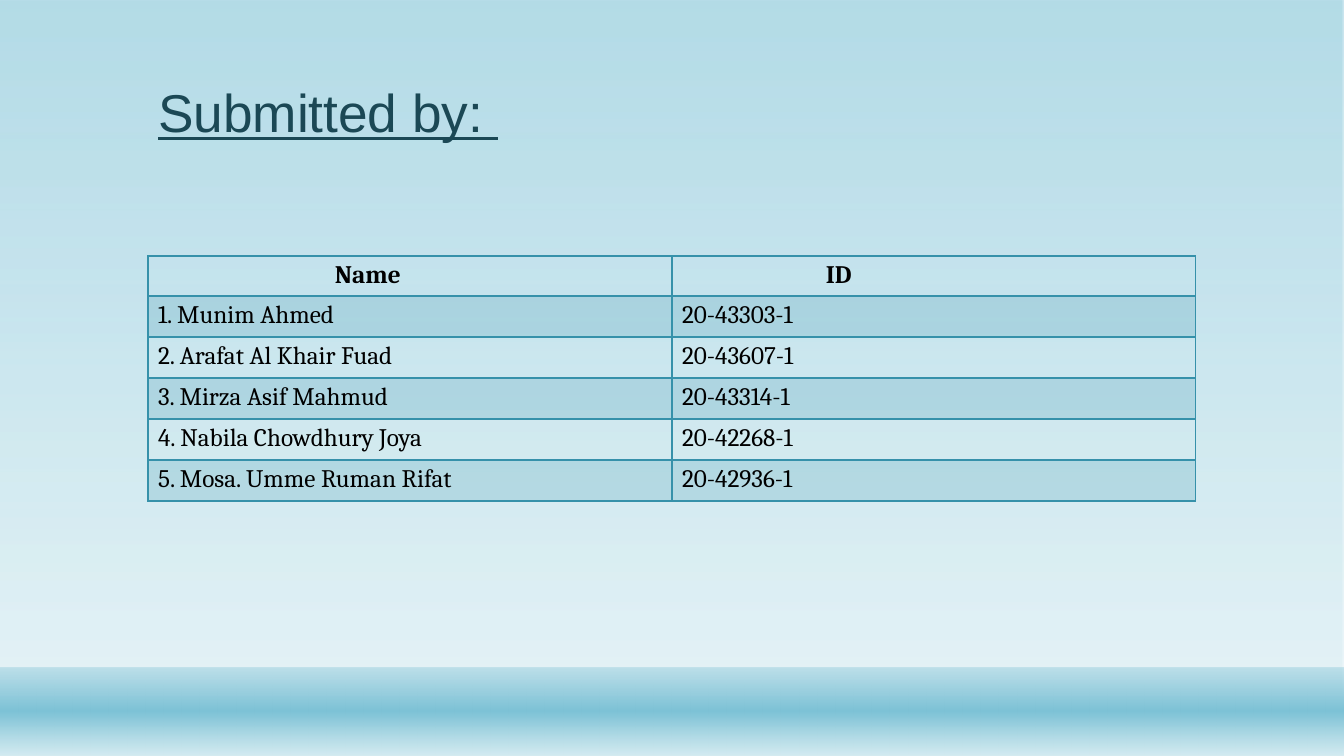
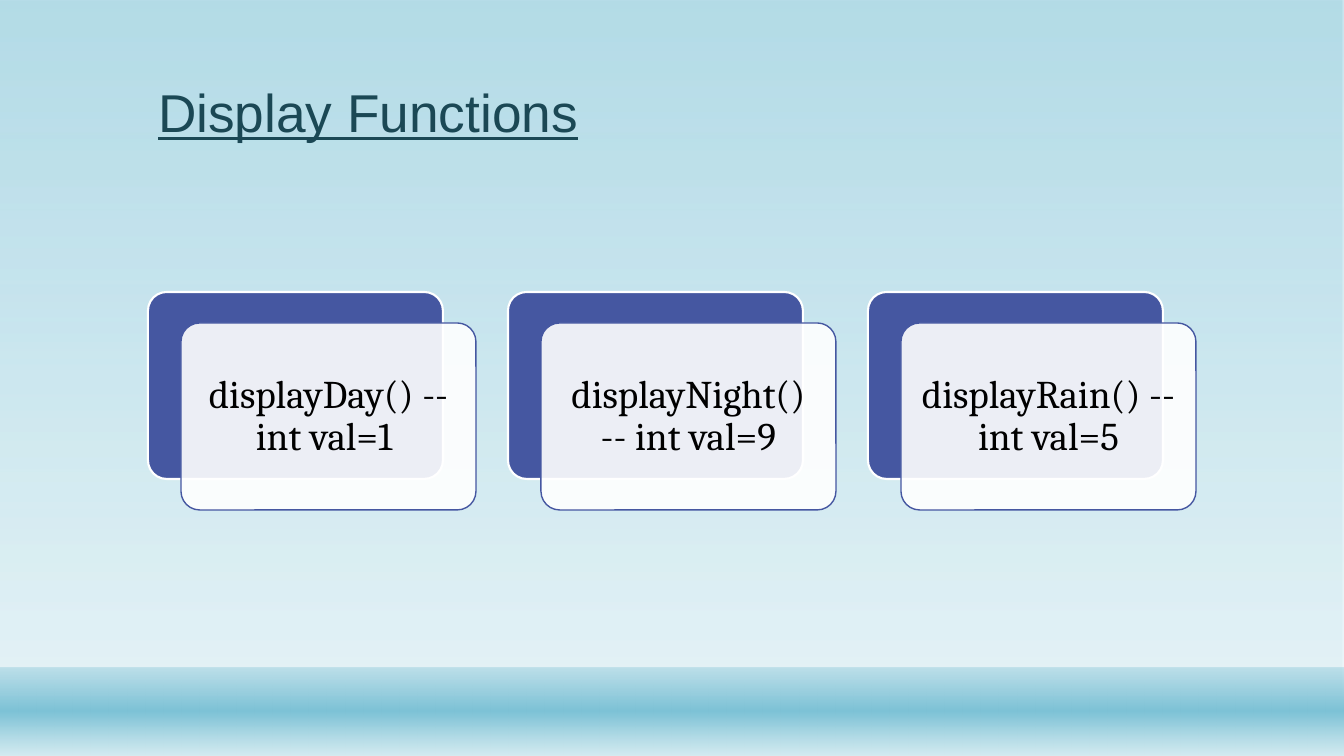
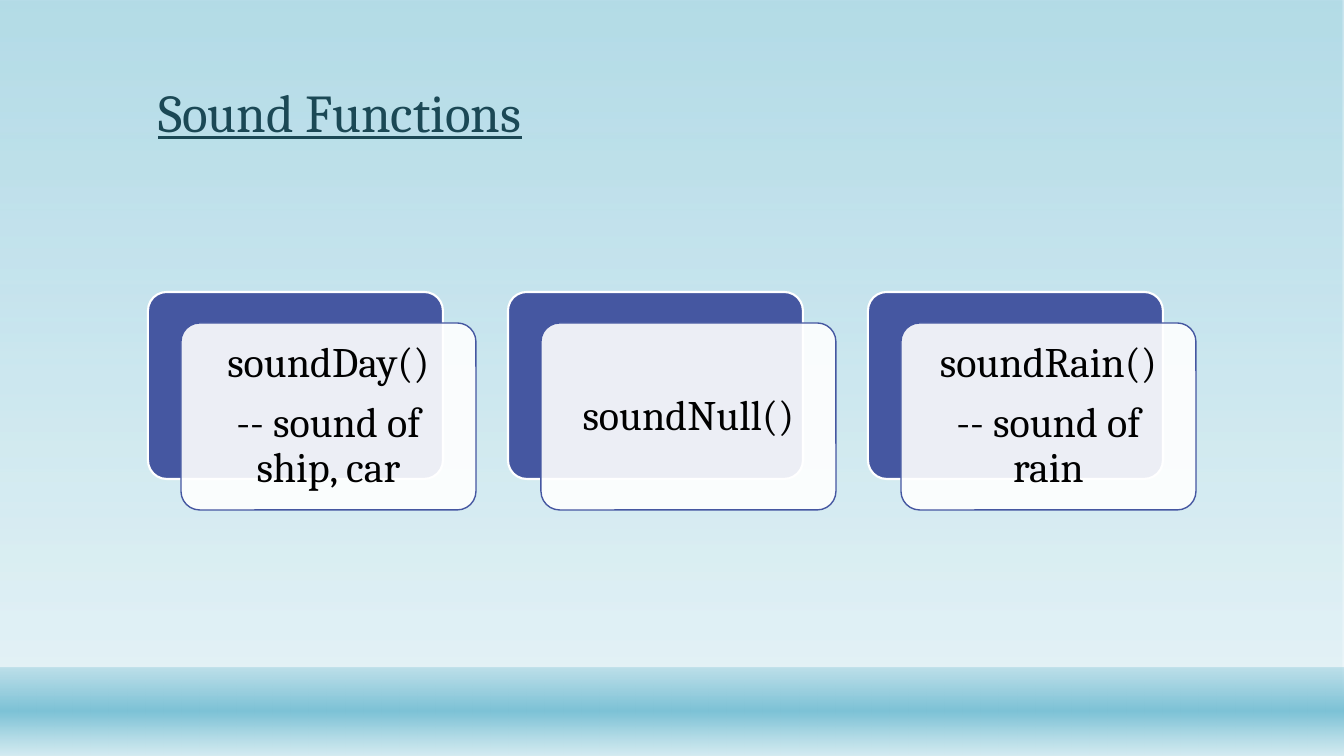
from dataclasses import dataclass
from typing import Optional

import pptx
import pptx.dml.color
import pptx.enum.shapes
import pptx.enum.text
import pptx.oxml
import pptx.oxml.ns
import pptx.util

RECTANGLE = pptx.enum.shapes.MSO_SHAPE.RECTANGLE
ROUNDED = pptx.enum.shapes.MSO_SHAPE.ROUNDED_RECTANGLE
ANCHOR = pptx.enum.text.MSO_ANCHOR
ALIGN = pptx.enum.text.PP_ALIGN

SLIDE_W, SLIDE_H = 1344, 756
LEFT, CONTENT_W = 148, 1048


# Theme and content types
@dataclass(frozen=True)
class Theme:
    title: str = "1B4855"
    text: str = "000000"
    white: str = "FFFFFF"
    aqua: str = "7DC2D6"
    mist: str = "D4EBF1"
    teal: str = "3691AA"
    indigo: str = "4557A1"
    sans: str = "Arial"
    serif: str = "Cambria"
    title_size: int = 38
    table_size: int = 18


THEME = Theme()


@dataclass(frozen=True)
class Stop:
    position: int
    color: str
    opacity: int = 100


@dataclass(frozen=True)
class Band:
    top: int
    height: int
    stops: tuple[Stop, ...]


@dataclass(frozen=True)
class Member:
    name: str
    number: str


@dataclass(frozen=True)
class Column:
    heading: str
    heading_indent: int


@dataclass(frozen=True)
class CardSlide:
    title: str
    title_font: str
    text_size: int
    cards: tuple[str, ...]


# Content
BANDS = (
    Band(0, SLIDE_H, (Stop(0, THEME.aqua, 58), Stop(88, THEME.mist, 65))),
    Band(668, 88, (Stop(1, THEME.aqua, 38), Stop(49, THEME.aqua),
                   Stop(100, THEME.mist, 89))),
)
COLUMNS = (Column("Name", 187), Column("ID", 154))
MEMBERS = (
    Member("1. Munim Ahmed", "20-43303-1"),
    Member("2. Arafat Al Khair Fuad", "20-43607-1"),
    Member("3. Mirza Asif Mahmud", "20-43314-1"),
    Member("4. Nabila Chowdhury Joya", "20-42268-1"),
    Member("5. Mosa. Umme Ruman Rifat", "20-42936-1"),
)
CARD_SLIDES = (
    CardSlide("Display Functions", THEME.sans, 28, (
        "displayDay() -- int val=1 ",
        "displayNight() -- int val=9",
        "displayRain() -- int val=5")),
    CardSlide("Sound Functions", THEME.serif, 30, (
        "soundDay()\n-- sound of ship, car",
        "soundNull()",
        "soundRain()\n-- sound of rain")),
)


# Helpers
def px(length: float) -> int:
    return round(length * 914400 / 100.8)


def rgb(color: str) -> pptx.dml.color.RGBColor:
    return pptx.dml.color.RGBColor.from_string(color)


def color_xml(color: str, opacity: int = 100) -> str:
    return f'<a:srgbClr val="{color}"><a:alpha val="{opacity * 1000}"/></a:srgbClr>'


def drawing(tag: str, attributes: str, content: str):
    namespace = pptx.oxml.ns.nsdecls("a")
    return pptx.oxml.parse_xml(f"<a:{tag} {namespace} {attributes}>{content}</a:{tag}>")


def translucent(color: str, opacity: int):
    return drawing("solidFill", "", color_xml(color, opacity))


def vertical_gradient(stops: tuple[Stop, ...]):
    listed = "".join(f'<a:gs pos="{stop.position * 1000}">'
                     f"{color_xml(stop.color, stop.opacity)}</a:gs>" for stop in stops)
    return drawing("gradFill", 'rotWithShape="1"',
                   f'<a:gsLst>{listed}</a:gsLst><a:lin ang="5400000" scaled="0"/>')


def add_filled(slide, preset, left: float, top: float, width: float, height: float,
               fill, line: Optional[str] = None, line_width: float = 1):
    shape = slide.shapes.add_shape(preset, px(left), px(top), px(width), px(height))
    shape.shadow.inherit = False
    shape.element.spPr.find(pptx.oxml.ns.qn("a:prstGeom")).addnext(fill)
    if line:
        shape.line.color.rgb = rgb(line)
        shape.line.width = pptx.util.Pt(line_width)
    else:
        shape.line.fill.background()
    return shape


def format_paragraph(paragraph, font: str, size: int, color: str,
                     bold: bool = False, underline: bool = False) -> None:
    for run in paragraph.runs:
        run.font.name = font
        run.font.size = pptx.util.Pt(size)
        run.font.color.rgb = rgb(color)
        run.font.bold = bold
        run.font.underline = underline


# Shared backdrop and title
def move_bands_to_layout(slide) -> None:
    layout_tree = slide.slide_layout.shapes.element
    for order, band in enumerate(BANDS):
        shape = add_filled(slide, RECTANGLE, 0, band.top, SLIDE_W, band.height,
                           vertical_gradient(band.stops))
        shape.element.xpath(".//p:cNvPr")[0].set("id", str(101 + order))
        layout_tree.insert(2 + order, shape.element)


def set_title(slide, text: str, font: str) -> None:
    title = slide.shapes.title
    title.left, title.top, title.width, title.height = map(px, (LEFT, 29, CONTENT_W, 120))
    frame = title.text_frame
    frame.text = text
    frame.word_wrap = True
    frame.auto_size = pptx.enum.text.MSO_AUTO_SIZE.NONE
    frame.vertical_anchor = ANCHOR.BOTTOM
    paragraph = frame.paragraphs[0]
    paragraph.alignment = ALIGN.LEFT
    paragraph.line_spacing = 0.9
    format_paragraph(paragraph, font, THEME.title_size, THEME.title, underline=True)


# Member table
def style_cell(cell, text: str, header: bool, shaded: bool) -> None:
    cell.text = text
    format_paragraph(cell.text_frame.paragraphs[0], THEME.serif, THEME.table_size,
                     THEME.text, bold=header)
    cell.fill.background()
    properties = cell._tc.get_or_add_tcPr()
    if shaded:
        properties.replace(properties[0], translucent(THEME.teal, 20))
    for order, side in enumerate("LRTB"):
        points = 2 if header and side == "B" else 1
        border = drawing(f"ln{side}", f'w="{pptx.util.Pt(points)}"',
                         f"<a:solidFill>{color_xml(THEME.teal)}</a:solidFill>")
        properties.insert(order, border)


def add_member_table(slide) -> None:
    header_height, row_height = 40, 41
    table = slide.shapes.add_table(
        len(MEMBERS) + 1, len(COLUMNS), px(LEFT), px(256), px(CONTENT_W),
        px(header_height + row_height * len(MEMBERS))).table
    table.first_row = table.horz_banding = False
    for index, row in enumerate(table.rows):
        row.height = px(row_height if index else header_height)
    for index, column in enumerate(COLUMNS):
        table.columns[index].width = px(CONTENT_W / len(COLUMNS))
        heading = table.cell(0, index)
        style_cell(heading, column.heading, header=True, shaded=False)
        heading.margin_left = px(column.heading_indent)
    for row, member in enumerate(MEMBERS, start=1):
        for index, text in enumerate((member.name, member.number)):
            style_cell(table.cell(row, index), text, header=False, shaded=row % 2 == 1)


# Layered cards
def add_card(slide, left: float, top: int, width: int, height: int,
             shift: tuple[int, int], text: str, size: int) -> None:
    back = add_filled(slide, ROUNDED, left, top, width, height,
                      translucent(THEME.indigo, 100), THEME.white, 1.5)
    front = add_filled(slide, ROUNDED, left + shift[0], top + shift[1], width, height,
                       translucent(THEME.white, 90), THEME.indigo)
    for layer in (back, front):
        layer.adjustments[0] = 0.1
    frame = front.text_frame
    frame.text = text
    frame.word_wrap = True
    frame.vertical_anchor = ANCHOR.MIDDLE
    frame.margin_left = frame.margin_right = px(12)
    frame.margin_top = frame.margin_bottom = px(12)
    for paragraph in frame.paragraphs:
        paragraph.alignment = ALIGN.CENTER
        paragraph.line_spacing = 0.9
        paragraph.space_after = pptx.util.Pt(size * 0.35)
        format_paragraph(paragraph, THEME.serif, size, THEME.text)


def add_cards(slide, content: CardSlide) -> None:
    width, height, shift = 295, 187, (33, 31)
    pitch = (CONTENT_W - width - shift[0]) / (len(content.cards) - 1)
    for index, text in enumerate(content.cards):
        add_card(slide, LEFT + index * pitch, 292, width, height, shift,
                 text, content.text_size)


def main() -> None:
    deck = pptx.Presentation()
    deck.slide_width, deck.slide_height = px(SLIDE_W), px(SLIDE_H)
    title_only = deck.slide_layouts[5]

    members = deck.slides.add_slide(title_only)
    move_bands_to_layout(members)
    set_title(members, "Submitted by: ", THEME.sans)
    add_member_table(members)

    for content in CARD_SLIDES:
        functions = deck.slides.add_slide(title_only)
        set_title(functions, content.title, content.title_font)
        add_cards(functions, content)

    deck.save("out.pptx")


if __name__ == "__main__":
    main()
